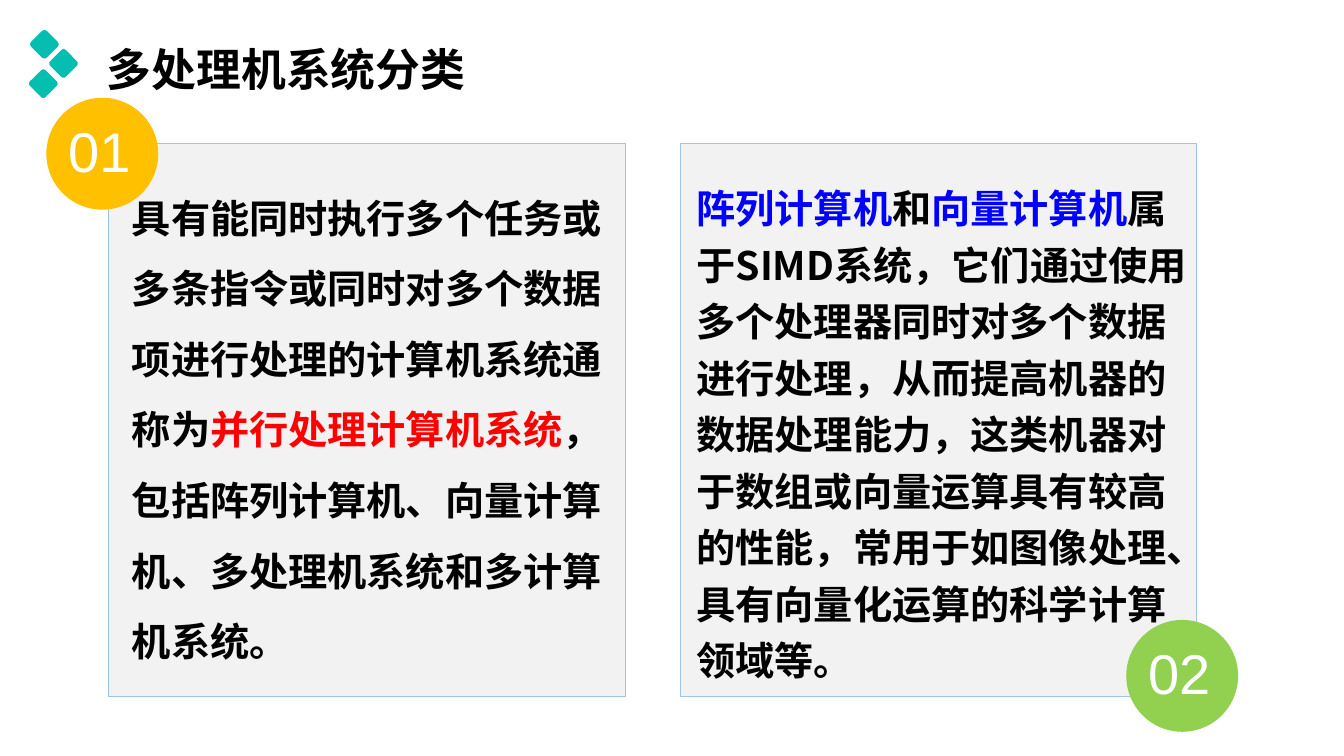
from dataclasses import dataclass
from lxml.etree import SubElement
from pptx import Presentation
from pptx.dml.color import RGBColor
from pptx.enum.shapes import MSO_SHAPE as Shape
from pptx.enum.text import MSO_ANCHOR as Anchor, PP_ALIGN as Align
from pptx.oxml.ns import qn
from pptx.util import Emu, Pt


@dataclass(frozen=True)
class Theme:
    ink: str = "000000"
    red: str = "FF0000"
    blue: str = "0000FF"
    white: str = "FFFFFF"
    teal: str = "04BEB0"
    amber: str = "FFC000"
    green: str = "92D050"
    panel: str = "F2F2F2"
    border: str = "9DC3E6"
    title_size: int = 32
    body_size: int = 28
    badge_size: int = 40
    cjk: str = "Noto Sans CJK SC"
    latin: str = "Arial"


def px(n):
    return Emu(n * 9144)


class Deck:
    def __init__(self, theme):
        self.theme = theme
        self.prs = Presentation()
        self.prs.slide_width, self.prs.slide_height = px(1333), px(750)
        self.s = self.prs.slides.add_slide(self.prs.slide_layouts[5])

    def style(self, r, size, color, name, bold=False):
        r.font.size = Pt(size)
        r.font.bold = bold
        r.font.name = name
        r.font.color.rgb = RGBColor.from_string(color)
        SubElement(r.font._element, qn("a:ea")).set("typeface", name)

    def title(self, text, x, y, w, h):
        sp = self.s.shapes.title
        sp.left, sp.top, sp.width, sp.height = map(px, (x, y, w, h))
        tf = sp.text_frame
        tf.text = text
        tf.vertical_anchor = Anchor.MIDDLE
        p = tf.paragraphs[0]
        p.alignment = Align.LEFT
        p.line_spacing = 1.2
        self.style(p.runs[0], self.theme.title_size, self.theme.ink, self.theme.cjk, True)

    def shape(self, kind, x, y, w, h, fill, line=None, parent=None):
        sp = (parent or self.s).shapes.add_shape(kind, *map(px, (x, y, w, h)))
        sp.shadow.inherit = False
        sp.fill.solid()
        sp.fill.fore_color.rgb = RGBColor.from_string(fill)
        if line:
            sp.line.color.rgb = RGBColor.from_string(line)
            sp.line.width = Pt(0.75)
        else:
            sp.line.fill.background()
        return sp

    def panel(self, x, y, w, h):
        self.shape(Shape.RECTANGLE, x, y, w, h, self.theme.panel, self.theme.border)

    def badge(self, text, x, y, fill):
        group = self.s.shapes.add_group_shape()
        self.shape(Shape.OVAL, x, y, 111, 111, fill, parent=group)
        tf = group.shapes.add_textbox(*map(px, (x + 5, y + 14, 95, 77))).text_frame
        tf.word_wrap = True
        tf.text = text
        p = tf.paragraphs[0]
        p.alignment = Align.CENTER
        self.style(p.runs[0], self.theme.badge_size, self.theme.white, self.theme.latin)

    def emblem(self, centers, side):
        group = self.s.shapes.add_group_shape()
        for x, y in centers:
            sp = self.shape(Shape.ROUNDED_RECTANGLE, x - side // 2, y - side // 2,
                            side, side, self.theme.teal, parent=group)
            sp.adjustments[0] = 0.15
            sp.rotation = 45

    def body(self, parts, x, y, w, h, spacing):
        tf = self.s.shapes.add_textbox(*map(px, (x, y, w, h))).text_frame
        tf.word_wrap = True
        p = tf.paragraphs[0]
        p.line_spacing = spacing
        for text, color in parts:
            r = p.add_run()
            r.text = text
            self.style(r, self.theme.body_size, color, self.theme.cjk, True)


def main():
    t = Theme()
    deck = Deck(t)
    for x in (108, 675):
        deck.panel(x, 142, 512, 549)
    deck.badge("01", 46, 97, t.amber)
    deck.badge("02", 1117, 615, t.green)
    deck.title("多处理机系统分类", 96, -10, 1150, 145)
    deck.emblem([(44, 44), (63, 63), (43, 83)], 22)
    deck.body([
        ("具有能同时执行多个任务或多条指令或同时对多个数据项进行处理的计算机系统通称为", t.ink),
        ("并行处理计算机系统", t.red),
        ("，包括阵列计算机、向量计算机、多处理机系统和多计算机系统。", t.ink),
    ], 121, 164, 491, 505, 1.5)
    deck.body([
        ("阵列计算机", t.blue),
        ("和", t.ink),
        ("向量计算机", t.blue),
        ("属于SIMD系统，它们通过使用多个处理器同时对多个数据进行处理，从而提高机器的"
         "数据处理能力，这类机器对于数组或向量运算具有较高的性能，常用于如图像处理、"
         "具有向量化运算的科学计算领域等。", t.ink),
    ], 681, 169, 514, 580, 1.2)
    deck.prs.save("out.pptx")


if __name__ == "__main__":
    main()
